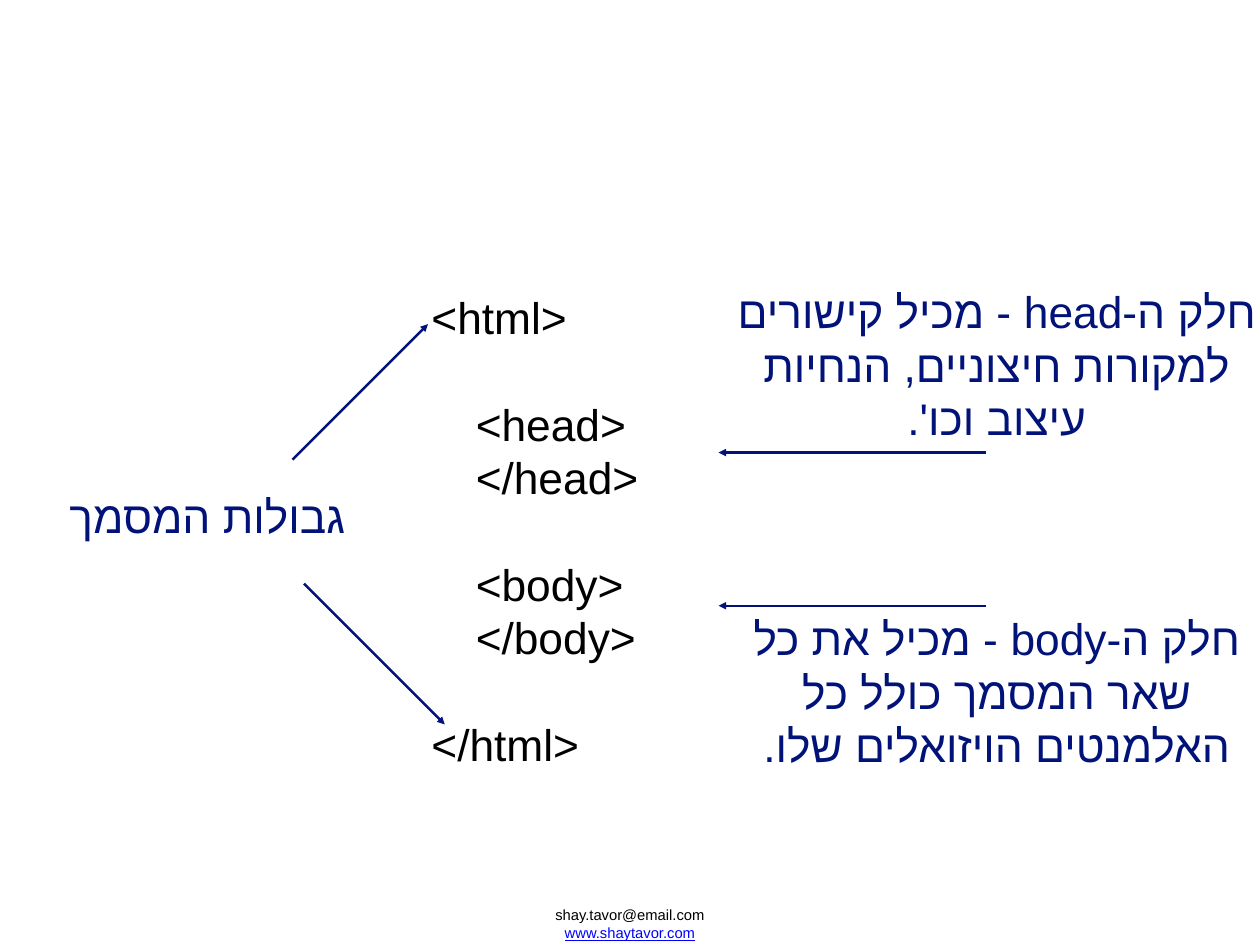
from dataclasses import dataclass

from lxml.etree import SubElement
from pptx import Presentation
from pptx.dml.color import RGBColor
from pptx.enum.shapes import MSO_CONNECTOR
from pptx.enum.text import MSO_ANCHOR, PP_ALIGN
from pptx.oxml.ns import qn
from pptx.slide import Slide
from pptx.text.text import TextFrame, _Paragraph
from pptx.util import Inches, Pt

FONT = "Arial"
NAVY = "011279"
BLACK = "000000"
LINK_BLUE = "0000FF"
LINE_HEIGHT = Pt(43.4)


@dataclass(frozen=True)
class Note:
    text: str
    left: float
    top: float
    width: float
    height: float
    rtl: bool = True


@dataclass(frozen=True)
class Arrow:
    start: tuple[float, float]
    end: tuple[float, float]


@dataclass(frozen=True)
class CodeLine:
    tag: str
    indented: bool = False
    gap_before: bool = False


NOTES = [
    Note("גבולות המסמך", -0.59, 5.46, 5.86, 0.72, rtl=False),
    Note("חלק ה-head - מכיל קישורים למקורות חיצוניים, הנחיות עיצוב וכו'.", 8.15, 3.15, 6.2, 1.93),
    Note("חלק ה-body - מכיל את כל שאר המסמך כולל כל האלמנטים הויזואלים שלו.", 8.15, 6.84, 6.2, 1.93),
]
ARROWS = [
    Arrow((3.3, 5.19), (4.83, 3.66)),
    Arrow((3.43, 6.59), (5.02, 8.18)),
    Arrow((11.13, 6.84), (8.11, 6.84)),
    Arrow((11.13, 5.11), (8.11, 5.11)),
]
CODE = [
    CodeLine("<html>"),
    CodeLine("<head>", indented=True, gap_before=True),
    CodeLine("</head>", indented=True),
    CodeLine("<body>", indented=True, gap_before=True),
    CodeLine("</body>", indented=True),
    CodeLine("</html>", gap_before=True),
]
CONTACTS = [("shay.tavor@email.com", BLACK, False), ("www.shaytavor.com", LINK_BLUE, True)]


def rgb(value: str) -> RGBColor:
    return RGBColor.from_string(value)


def add_frame(slide: Slide, left: float, top: float, width: float, height: float) -> TextFrame:
    frame = slide.shapes.add_textbox(Inches(left), Inches(top), Inches(width), Inches(height)).text_frame
    frame.word_wrap = True
    frame.vertical_anchor = MSO_ANCHOR.MIDDLE
    frame.margin_left = frame.margin_right = Inches(0.06)
    frame.margin_top = frame.margin_bottom = Inches(0.06)
    return frame


def format_runs(paragraph: _Paragraph, size: int, color: str, underline: bool = False) -> None:
    for run in paragraph.runs:
        run.font.name = FONT
        run.font.size = Pt(size)
        run.font.color.rgb = rgb(color)
        if underline:
            run.font.underline = True
        SubElement(run.font._element, qn("a:cs")).set("typeface", FONT)


def add_note(slide: Slide, note: Note) -> None:
    frame = add_frame(slide, note.left, note.top, note.width, note.height)
    frame.text = note.text
    paragraph = frame.paragraphs[0]
    paragraph.alignment = PP_ALIGN.CENTER
    paragraph.line_spacing = LINE_HEIGHT
    if note.rtl:
        paragraph._p.get_or_add_pPr().set("rtl", "1")
    format_runs(paragraph, 36, NAVY)


def add_arrow(slide: Slide, arrow: Arrow) -> None:
    points = [Inches(value) for value in arrow.start + arrow.end]
    connector = slide.shapes.add_connector(MSO_CONNECTOR.STRAIGHT, *points)
    connector.line.color.rgb = rgb(NAVY)
    connector.line.width = Pt(2)
    SubElement(connector.line._get_or_add_ln(), qn("a:tailEnd")).set("type", "triangle")
    SubElement(connector._element.spPr, qn("a:effectLst"))


def add_code(slide: Slide) -> None:
    frame = add_frame(slide, 4.81, 3.2, 2.57, 5.57)
    frame.text = "\n".join(line.tag for line in CODE)
    for paragraph, line in zip(frame.paragraphs, CODE):
        paragraph.line_spacing = LINE_HEIGHT
        if line.gap_before:
            paragraph.space_before = LINE_HEIGHT
        if line.indented:
            paragraph._p.get_or_add_pPr().set("marL", str(Inches(0.5)))
        format_runs(paragraph, 36, BLACK)


def add_contacts(slide: Slide) -> None:
    frame = add_frame(slide, 6.19, 10.18, 1.84, 0.5)
    frame.text = "\n".join(text for text, _, _ in CONTACTS)
    for paragraph, (_, color, underline) in zip(frame.paragraphs, CONTACTS):
        paragraph.alignment = PP_ALIGN.CENTER
        format_runs(paragraph, 12, color, underline)


def main() -> None:
    presentation = Presentation()
    presentation.slide_width = Inches(14.22)
    presentation.slide_height = Inches(10.67)
    slide = presentation.slides.add_slide(presentation.slide_layouts[6])
    add_contacts(slide)
    add_code(slide)
    for note in NOTES:
        add_note(slide, note)
    for arrow in ARROWS:
        add_arrow(slide, arrow)
    presentation.save("out.pptx")


if __name__ == "__main__":
    main()
